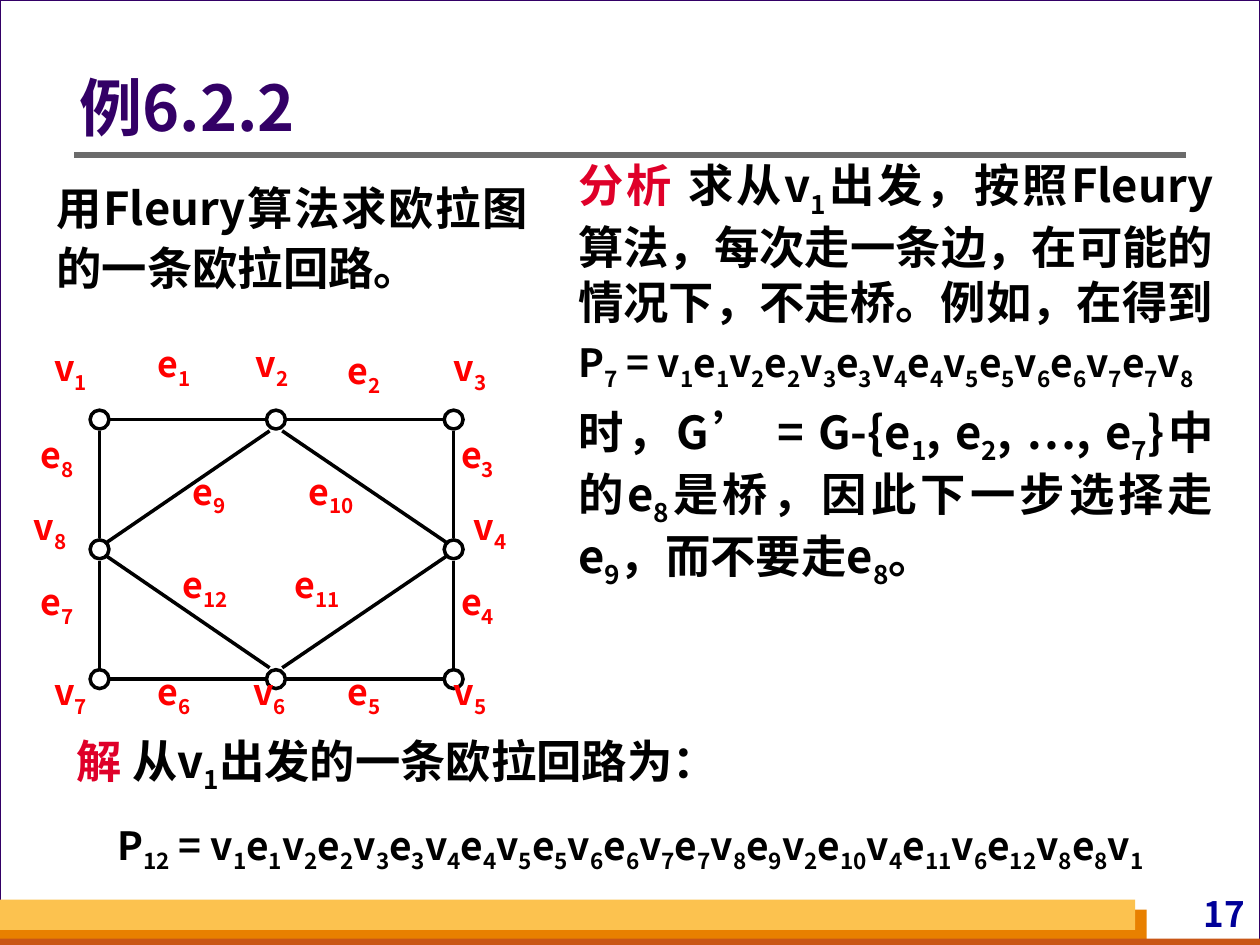
from lxml.etree import SubElement
from pptx import Presentation
from pptx.dml.color import RGBColor
from pptx.enum.shapes import MSO_CONNECTOR, MSO_SHAPE
from pptx.enum.text import MSO_ANCHOR, MSO_AUTO_SIZE, PP_ALIGN
from pptx.oxml.ns import qn
from pptx.util import Inches, Pt

FONT = "Noto Sans CJK SC"
BLACK = RGBColor(0x00, 0x00, 0x00)
WHITE = RGBColor(0xFF, 0xFF, 0xFF)
PURPLE = RGBColor(0x33, 0x00, 0x66)
NAVY = RGBColor(0x00, 0x00, 0x99)
GRAY = RGBColor(0x6B, 0x6B, 0x6B)
CRIMSON = RGBColor(0xDF, 0x00, 0x29)
RED = RGBColor(0xFF, 0x00, 0x00)
ORANGE = RGBColor(0xE8, 0x80, 0x00)
RUST = RGBColor(0xC9, 0x56, 0x16)
YELLOW = RGBColor(0xFC, 0xC2, 0x4F)

WIDTH, HEIGHT = 10, 7.5
BODY_SIZE, PATH_SIZE, LABEL_SIZE = 25.9, 22.2, 20.4

# Graph: vertices on a 3 x 3 grid, edges as vertex pairs
COLUMNS = (0.79, 2.19, 3.6)
ROWS = (3.33, 4.36, 5.39)
VERTICES = {1: (0, 0), 2: (1, 0), 3: (2, 0), 4: (2, 1),
            5: (2, 2), 6: (1, 2), 7: (0, 2), 8: (0, 1)}
EDGES = {1: (1, 2), 2: (2, 3), 3: (3, 4), 4: (4, 5), 5: (5, 6), 6: (6, 7),
         7: (7, 8), 8: (8, 1), 9: (8, 2), 10: (2, 4), 11: (4, 6), 12: (6, 8)}
DIAMETER = 0.15
VERTEX_LABELS = {1: (0.43, 2.75), 2: (2.03, 2.72), 3: (3.6, 2.75), 4: (3.76, 4.01),
                 5: (3.6, 5.32), 6: (2.01, 5.32), 7: (0.43, 5.32), 8: (0.27, 4.01)}
EDGE_LABELS = {1: (1.25, 2.72), 2: (2.76, 2.77), 3: (3.66, 3.44), 4: (3.66, 4.61),
               5: (2.76, 5.32), 6: (1.25, 5.32), 7: (0.32, 4.61), 8: (0.32, 3.44),
               9: (1.53, 3.73), 10: (2.45, 3.73), 11: (2.34, 4.47), 12: (1.45, 4.47)}
CIRCUIT = [1, 2, 3, 4, 5, 6, 7, 9, 10, 11, 12, 8]


def path_text(edges):
    """Spell a walk from v1; subscripts stand between underscores."""
    vertex, text = 1, "v_1_"
    for edge in edges:
        vertex = sum(EDGES[edge]) - vertex
        text += f"e_{edge}_v_{vertex}_"
    return f"P_{len(edges)}_ = {text}"


# Text: each paragraph is (lead word, text, size, space before)
ANALYSIS = [
    ("分析 ", "求从v_1_出发，按照Fleury算法，每次走一条边，在可能的情况下，不走桥。例如，在得到",
     BODY_SIZE, 0),
    ("", path_text(CIRCUIT[:7]), PATH_SIZE, 6),
    ("", "时，G’ = G-{e_1_, e_2_, …, e_7_}中的e_8_是桥，因此下一步选择走e_9_，而不要走e_8_。",
     BODY_SIZE, 7),
]
SOLUTION = [
    ("解 ", "从v_1_出发的一条欧拉回路为：", BODY_SIZE, 0),
    ("", path_text(CIRCUIT), PATH_SIZE, 12),
]

presentation = Presentation()
presentation.slide_width, presentation.slide_height = Inches(WIDTH), Inches(HEIGHT)
slide = presentation.slides.add_slide(presentation.slide_layouts[5])
shapes = slide.shapes


def add_run(paragraph, text, size, color, subscript=False):
    run = paragraph.add_run()
    run.text = text
    run.font.size, run.font.bold = Pt(size), True
    run.font.color.rgb = color
    run.font.name = FONT
    properties = run._r.get_or_add_rPr()
    SubElement(properties, qn("a:ea")).set("typeface", FONT)
    if subscript:
        properties.set("baseline", "-25000")


def write(paragraph, text, size=BODY_SIZE, color=BLACK, lead="",
          align=PP_ALIGN.JUSTIFY, spacing=1.0, before=0):
    paragraph.alignment, paragraph.line_spacing = align, spacing
    paragraph.space_before = Pt(before)
    if lead:
        add_run(paragraph, lead, size, CRIMSON)
    for index, part in enumerate(text.split("_")):
        if part:
            add_run(paragraph, part, size, color, subscript=index % 2 == 1)


def set_frame(shape, insets=(0.1, 0.05), anchor=MSO_ANCHOR.TOP):
    frame = shape.text_frame
    frame.word_wrap, frame.auto_size = True, MSO_AUTO_SIZE.NONE
    frame.vertical_anchor = anchor
    frame.margin_left = frame.margin_right = Inches(insets[0])
    frame.margin_top = frame.margin_bottom = Inches(insets[1])
    return frame


def add_box(left, top, width, height, insets=(0.1, 0.05)):
    box = shapes.add_textbox(Inches(left), Inches(top), Inches(width), Inches(height))
    return set_frame(box, insets)


def add_form(kind, left, top, width, height, fill=None, line=None, weight=1):
    shape = shapes.add_shape(kind, Inches(left), Inches(top), Inches(width), Inches(height))
    shape.shadow.inherit = False
    if fill is None:
        shape.fill.background()
    else:
        shape.fill.solid()
        shape.fill.fore_color.rgb = fill
    if line is None:
        shape.line.fill.background()
    else:
        shape.line.color.rgb, shape.line.width = line, Pt(weight)


def add_line(start, end, color=BLACK, weight=2):
    line = shapes.add_connector(MSO_CONNECTOR.STRAIGHT, *map(Inches, (*start, *end)))
    line.line.color.rgb, line.line.width = color, Pt(weight)
    SubElement(line._element.spPr, qn("a:effectLst"))


def edge_end(vertex, other):
    """Point where the edge to the other vertex leaves this vertex."""
    (column, row), (other_column, other_row) = VERTICES[vertex], VERTICES[other]
    across = (other_column > column) - (other_column < column)
    down = (other_row > row) - (other_row < row)
    trim_x, trim_y = (0.05, 0.05 if row == 1 else 0.09) if across and down else (0.08, 0.09)
    return COLUMNS[column] + across * trim_x, ROWS[row] + down * trim_y


# Page frame, footer bars, slide number and title rule
add_form(MSO_SHAPE.RECTANGLE, 0, 0, WIDTH, HEIGHT, WHITE, PURPLE, 0.75)
add_form(MSO_SHAPE.RECTANGLE, 0, 7.22, 9.1, 0.28, ORANGE)
add_form(MSO_SHAPE.RECTANGLE, 0, 7.45, WIDTH, 0.08, RUST)
add_form(MSO_SHAPE.RECTANGLE, 0, 7.14, 9.01, 0.24, YELLOW)
write(add_box(8.7, 7.08, 1.22, 0.33, (0.04, 0)).paragraphs[0], "17",
      size=20, color=NAVY, align=PP_ALIGN.RIGHT)
add_line((0.59, 1.23), (9.41, 1.23), GRAY, 3)

# Title, lifted above the page frame
title = shapes.title
title.left, title.top, title.width, title.height = map(Inches, (0.59, 0.38, 8.82, 1.01))
shapes._spTree.append(title._element)
write(set_frame(title, (0.04, 0), MSO_ANCHOR.MIDDLE).paragraphs[0], "例6.2.2",
      size=36, color=PURPLE, align=PP_ALIGN.LEFT, spacing=0.9)

# Problem statement
write(add_box(0.35, 1.34, 3.94, 1.22).paragraphs[0],
      "用Fleury算法求欧拉图的一条欧拉回路。", spacing=1.1)

# Graph
for column, row in VERTICES.values():
    add_form(MSO_SHAPE.OVAL, COLUMNS[column] - DIAMETER / 2, ROWS[row] - DIAMETER / 2,
             DIAMETER, DIAMETER, line=BLACK, weight=2)
for first, second in EDGES.values():
    add_line(edge_end(first, second), edge_end(second, first))
for letter, labels in (("v", VERTEX_LABELS), ("e", EDGE_LABELS)):
    for number, (left, top) in labels.items():
        label = add_box(left, top, 0.66 if number > 9 else 0.44, 0.4, (0, 0))
        write(label.paragraphs[0], f"{letter}_{number}_", size=LABEL_SIZE, color=RED,
              spacing=0.9)

# Analysis and solution
for place, content, spacing, last_align in (
        ((4.49, 1.2, 5.24, 4.68), ANALYSIS, 1.0, PP_ALIGN.JUSTIFY),
        ((0.51, 5.72, 8.99, 1.31), SOLUTION, 1.1, PP_ALIGN.CENTER)):
    frame = add_box(*place)
    for index, (lead, text, size, before) in enumerate(content):
        paragraph = frame.add_paragraph() if index else frame.paragraphs[0]
        align = last_align if index == len(content) - 1 else PP_ALIGN.JUSTIFY
        write(paragraph, text, size=size, lead=lead, align=align,
              spacing=spacing, before=before)

presentation.save("out.pptx")
